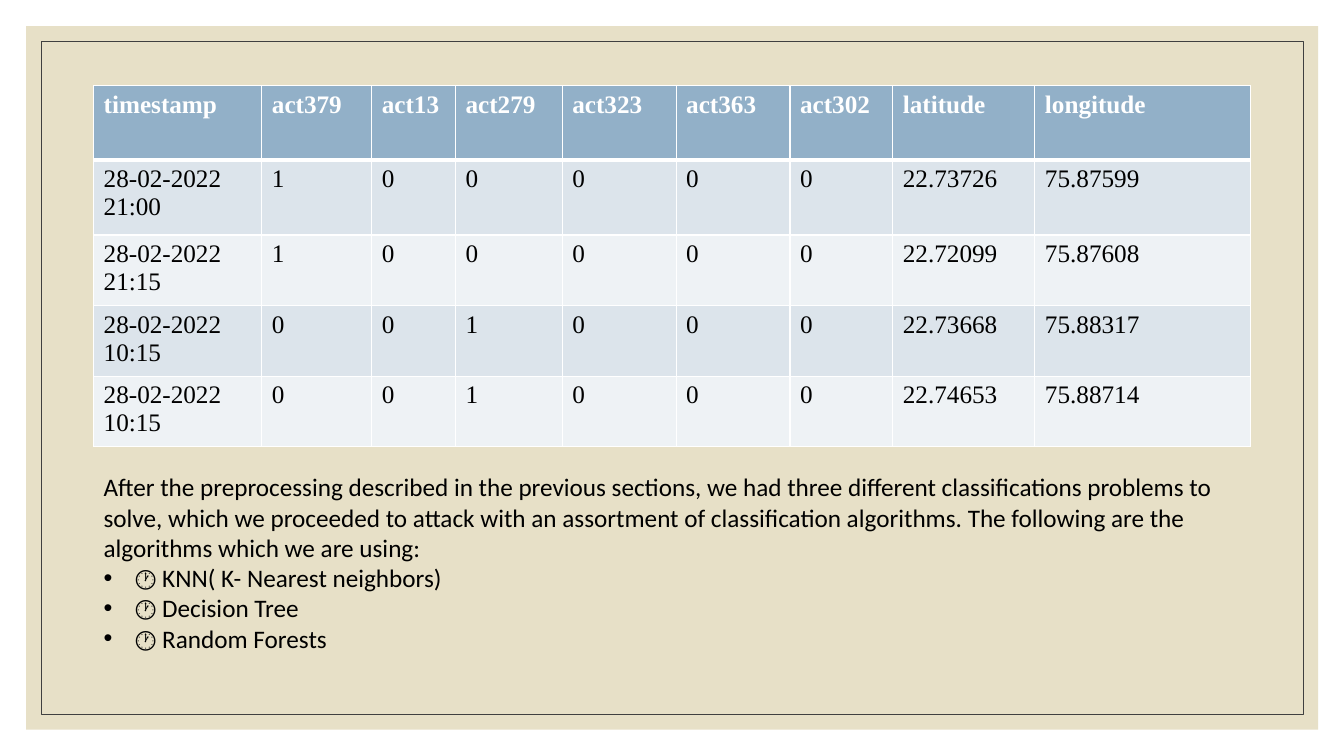
from lxml import etree
from pptx import Presentation
from pptx.dml.color import RGBColor
from pptx.enum import shapes, text
from pptx.oxml import ns
from pptx.util import Cm, Pt

SAND = RGBColor(0xE7, 0xE0, 0xC7)
CHARCOAL = RGBColor(0x40, 0x40, 0x40)
STEEL = RGBColor(0x92, 0xB0, 0xC8)
MIST = RGBColor(0xDC, 0xE4, 0xEB)
PALE = RGBColor(0xEE, 0xF2, 0xF5)
WHITE = RGBColor(0xFF, 0xFF, 0xFF)
BLACK = RGBColor(0x00, 0x00, 0x00)

COLUMN_WIDTHS = [4.24, 2.77, 2.11, 2.69, 2.87, 2.87, 2.59, 3.58, 5.44]
ROW_HEIGHTS = [1.88, 1.88, 1.78, 1.78, 1.78]
READINGS = [
    ["timestamp", "act379", "act13", "act279", "act323", "act363", "act302", "latitude", "longitude"],
    ["28-02-2022\n21:00", "1", "0", "0", "0", "0", "0", "22.73726", "75.87599"],
    ["28-02-2022\n21:15", "1", "0", "0", "0", "0", "0", "22.72099", "75.87608"],
    ["28-02-2022\n10:15", "0", "0", "1", "0", "0", "0", "22.73668", "75.88317"],
    ["28-02-2022\n10:15", "0", "0", "1", "0", "0", "0", "22.74653", "75.88714"],
]
INTRODUCTION = (
    "After the preprocessing described in the previous sections, we had three different "
    "classifications problems to solve, which we proceeded to attack with an assortment of "
    "classification algorithms. The following are the algorithms which we are using:"
)
ALGORITHMS = ["KNN( K- Nearest neighbors)", "Decision Tree", "Random Forests"]


def add_panel(page, left, top, width, height, fill=None, line=None):
    """Add a rectangle with an optional fill and an optional thin outline."""
    panel = page.shapes.add_shape(
        shapes.MSO_SHAPE.RECTANGLE, Cm(left), Cm(top), Cm(width), Cm(height))
    panel.shadow.inherit = False
    if fill is None:
        panel.fill.background()
    else:
        panel.fill.solid()
        panel.fill.fore_color.rgb = fill
    if line is None:
        panel.line.fill.background()
    else:
        panel.line.color.rgb = line
        panel.line.width = Pt(0.5)


def write(para, content, font="Calibri", size=18, color=BLACK, bold=False):
    """Append a formatted span of text to a paragraph."""
    span = para.add_run()
    span.text = content
    span.font.name = font
    span.font.size = Pt(size)
    span.font.color.rgb = color
    span.font.bold = bold


def add_bullet(para, indent):
    """Give a paragraph a hanging bullet."""
    properties = para._p.get_or_add_pPr()
    properties.set("marL", str(Cm(indent)))
    properties.set("indent", str(-Cm(indent)))
    etree.SubElement(properties, ns.qn("a:buFont"), typeface="Arial")
    etree.SubElement(properties, ns.qn("a:buChar"), char="•")


def set_borders(cell, top, bottom):
    """Draw white borders around a cell, one point wide at the sides."""
    properties = cell._tc.get_or_add_tcPr()
    widths = {"a:lnL": 1, "a:lnR": 1, "a:lnT": top, "a:lnB": bottom}
    for position, (side, width) in enumerate(widths.items()):
        border = etree.Element(ns.qn(side), w=str(Pt(width)))
        fill = etree.SubElement(border, ns.qn("a:solidFill"))
        etree.SubElement(fill, ns.qn("a:srgbClr"), val=str(WHITE))
        properties.insert(position, border)


def fill_cell(cell, content, row):
    """Write and style one cell according to its row."""
    header = row == 0
    cell.fill.solid()
    cell.fill.fore_color.rgb = STEEL if header else MIST if row % 2 else PALE
    set_borders(cell, top=3 if row == 1 else 1, bottom=3 if header else 1)
    frame = cell.text_frame
    for index, line in enumerate(content.split("\n")):
        para = frame.add_paragraph() if index else frame.paragraphs[0]
        write(para, line, font="Times New Roman", color=WHITE if header else BLACK, bold=header)


def add_readings(page, left, top):
    """Add the table of activity readings."""
    table = page.shapes.add_table(
        len(READINGS), len(COLUMN_WIDTHS), Cm(left), Cm(top),
        Cm(sum(COLUMN_WIDTHS)), Cm(sum(ROW_HEIGHTS))).table
    for column, width in zip(table.columns, COLUMN_WIDTHS):
        column.width = Cm(width)
    for row, height in zip(table.rows, ROW_HEIGHTS):
        row.height = Cm(height)
    for row, values in enumerate(READINGS):
        for column, value in enumerate(values):
            fill_cell(table.cell(row, column), value, row)


def add_explanation(page, left, top, width, height):
    """Add the introduction and the bulleted algorithms."""
    box = page.shapes.add_textbox(Cm(left), Cm(top), Cm(width), Cm(height))
    frame = box.text_frame
    frame.word_wrap = True
    frame.auto_size = text.MSO_AUTO_SIZE.SHAPE_TO_FIT_TEXT
    write(frame.paragraphs[0], INTRODUCTION)
    for algorithm in ALGORITHMS:
        para = frame.add_paragraph()
        add_bullet(para, 0.79)
        write(para, f"🕐 {algorithm}")


def main():
    """Build and save the deck."""
    deck = Presentation()
    deck.slide_width, deck.slide_height = Cm(33.87), Cm(19.05)
    page = deck.slides.add_slide(deck.slide_layouts[6])
    add_panel(page, 0.66, 0.66, 32.56, 17.73, fill=SAND)
    add_panel(page, 1.04, 1.04, 31.8, 16.97, line=CHARCOAL)
    add_readings(page, 2.36, 2.16)
    add_explanation(page, 2.36, 11.76, 29.13, 4.88)
    deck.save("out.pptx")


if __name__ == "__main__":
    main()
